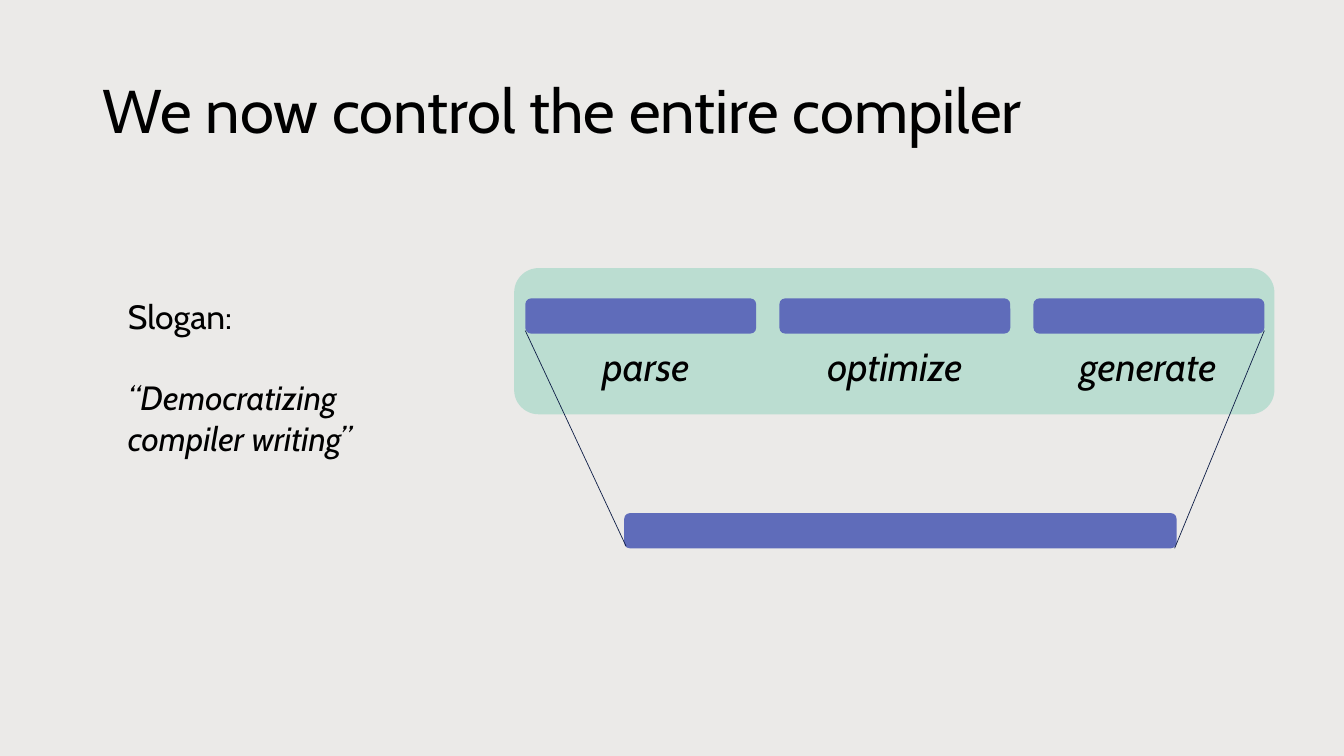
from dataclasses import dataclass

from pptx import Presentation
from pptx.dml.color import RGBColor
from pptx.enum.shapes import MSO_CONNECTOR as Connector, MSO_SHAPE as Shape
from pptx.enum.text import MSO_ANCHOR as Anchor, PP_ALIGN as Align
from pptx.oxml.ns import qn
from pptx.util import Emu, Pt
from lxml.etree import SubElement


@dataclass(frozen=True)
class Theme:
    font: str = "Cabin"
    background: str = "EBEAE8"
    text: str = "000000"
    panel: str = "BBDDD1"
    bar: str = "5F6CBA"
    line: str = "101F48"
    title_size: int = 44
    label_size: int = 28
    slogan_size: int = 24


THEME = Theme()
EMU_PER_PX = 9144


def px(*lengths):
    return [Emu(length * EMU_PER_PX) for length in lengths]


def rgb(value):
    return RGBColor.from_string(value)


def write(paragraph, text, size, italic=False, align=Align.LEFT, before=0, spacing=1.0):
    paragraph.alignment = align
    paragraph.space_before = Pt(before)
    paragraph.line_spacing = spacing
    run = paragraph.add_run()
    run.text = text
    run.font.name = THEME.font
    run.font.size = Pt(size)
    run.font.italic = italic
    run.font.color.rgb = rgb(THEME.text)


def add_title(slide, text, left, top, width, height):
    title = slide.shapes.title
    title.left, title.top, title.width, title.height = px(left, top, width, height)
    title.text_frame.vertical_anchor = Anchor.MIDDLE
    write(title.text_frame.paragraphs[0], text, THEME.title_size, spacing=0.9)


def add_text_frame(slide, left, top, width, height):
    frame = slide.shapes.add_textbox(*px(left, top, width, height)).text_frame
    frame.word_wrap = True
    return frame


def add_block(slide, color, left, top, width, height):
    shape = slide.shapes.add_shape(Shape.ROUNDED_RECTANGLE, *px(left, top, width, height))
    shape.shadow.inherit = False
    shape.fill.solid()
    shape.fill.fore_color.rgb = rgb(color)
    shape.line.fill.background()


def add_line(slide, start_x, start_y, end_x, end_y):
    line = slide.shapes.add_connector(Connector.STRAIGHT, *px(start_x, start_y, end_x, end_y))
    line.line.color.rgb = rgb(THEME.line)
    line.line.width = Pt(0.5)
    SubElement(line._element.spPr, qn("a:effectLst"))


def add_compiler(slide):
    stages = [("parse", 571, 139), ("optimize", 789, 197), ("generate", 1040, 197)]
    first_left, pitch, stage_width, bar_height = 521, 252, 229, 35
    add_block(slide, THEME.panel, 510, 266, 754, 145)
    add_block(slide, THEME.bar, 619, 509, 548, bar_height)
    for index in range(len(stages)):
        add_block(slide, THEME.bar, first_left + index * pitch, 296, stage_width, bar_height)
    add_line(slide, first_left, 328, 621, 542)
    add_line(slide, 1254, 328, 1165, 544)
    for name, left, width in stages:
        frame = add_text_frame(slide, left, 335, width, 57)
        write(frame.paragraphs[0], name, THEME.label_size, italic=True, align=Align.CENTER)


def add_slogan(slide):
    frame = add_text_frame(slide, 117, 289, 287, 172)
    write(frame.paragraphs[0], "Slogan:", THEME.slogan_size)
    write(frame.add_paragraph(), "“Democratizing compiler writing”", THEME.slogan_size,
          italic=True, before=29)


def main():
    presentation = Presentation()
    presentation.slide_width, presentation.slide_height = px(1333, 750)
    slide = presentation.slides.add_slide(presentation.slide_layouts[5])
    slide.background.fill.solid()
    slide.background.fill.fore_color.rgb = rgb(THEME.background)
    add_title(slide, "We now control the entire compiler", 92, 40, 1150, 145)
    add_compiler(slide)
    add_slogan(slide)
    presentation.save("out.pptx")


if __name__ == "__main__":
    main()
